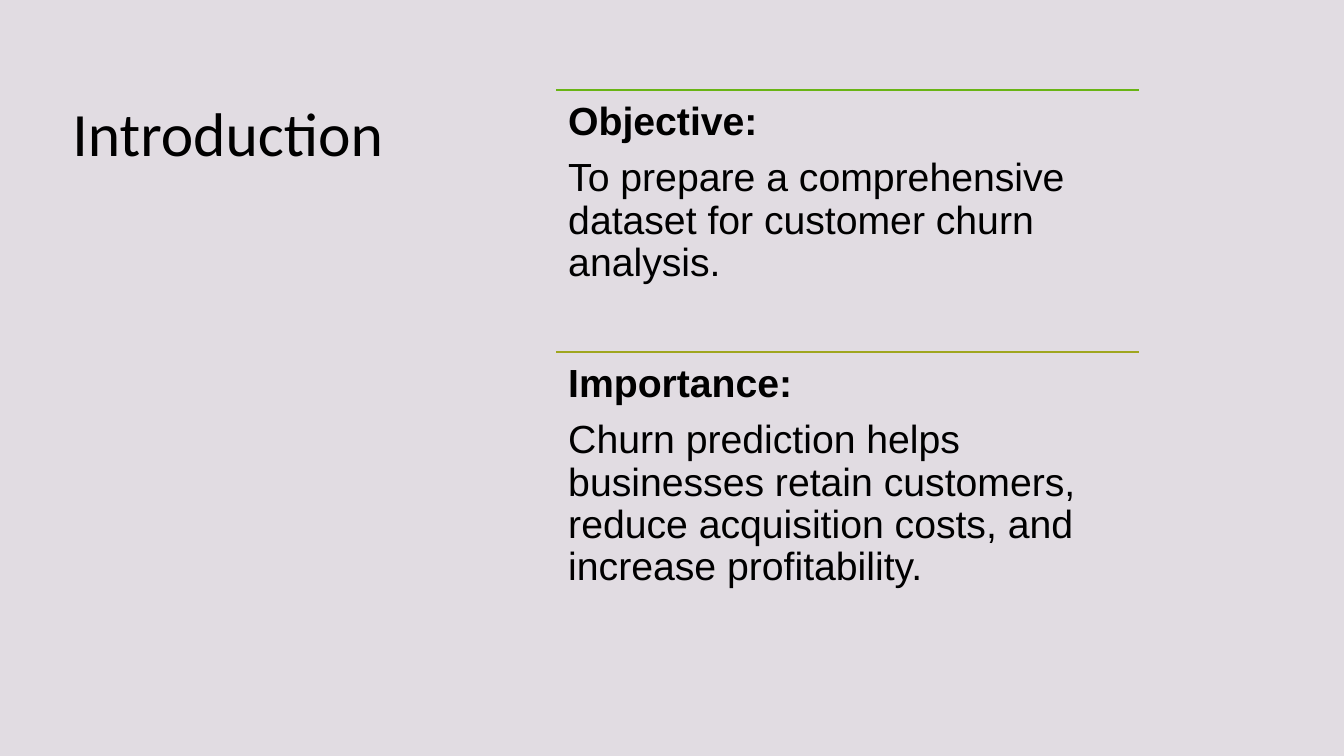
"""Build the Introduction slide with its two ruled statements."""
from dataclasses import dataclass

from lxml.etree import SubElement
from pptx import Presentation
from pptx.dml.color import RGBColor as Color
from pptx.enum.shapes import MSO_CONNECTOR as Connector, MSO_SHAPE as Preset
from pptx.enum.text import MSO_ANCHOR as Anchor, MSO_AUTO_SIZE as AutoSize, PP_ALIGN as Align
from pptx.oxml.ns import qn
from pptx.util import Pt

TITLE = "Introduction"
SECTIONS = [
    ("Objective:", "To prepare a comprehensive dataset for customer churn analysis.", "69B415"),
    ("Importance:", "Churn prediction helps businesses retain customers, reduce acquisition costs, "
                    "and increase profitability.", "9FA61F"),
]


@dataclass(frozen=True)
class Theme:
    background: str = "E7E2E8"
    tint: str = "AEAEAE"
    tint_opacity: int = 10
    ink: str = "000000"
    title_font: str = "Calibri"
    body_font: str = "Arial"
    title_size: int = 44
    body_size: int = 28
    rule_width: int = 1


THEME = Theme()
SLIDE_SIZE = (960, 540)
TOP = 64.25
TITLE_BOX = (44.5, TOP, 292, 426)
SECTION_LEFT, SECTION_WIDTH, SECTION_HEIGHT = 397.5, 416, 187.25
SECTION_INSET = 8.4
LINE_SPACING, SPACE_AFTER = 0.9, 9.8


def add_backdrop(slide, layer, color, opacity):
    """Cover the slide with a plain rectangle at the given layer behind the text."""
    backdrop = slide.shapes.add_shape(Preset.RECTANGLE, 0, 0, *map(Pt, SLIDE_SIZE))
    backdrop.shadow.inherit = False
    backdrop.fill.solid()
    backdrop.fill.fore_color.rgb = Color.from_string(color)
    backdrop.line.fill.background()
    if opacity < 100:
        shade = backdrop._element.spPr.find(qn("a:solidFill"))[0]
        SubElement(shade, qn("a:alpha")).set("val", str(opacity * 1000))
    slide.shapes._spTree.insert(2 + layer, backdrop._element)


def place(shape, left, top, width, height):
    """Position a shape, in points, with its text fixed to the top."""
    shape.left, shape.top, shape.width, shape.height = map(Pt, (left, top, width, height))
    frame = shape.text_frame
    frame.word_wrap = True
    frame.auto_size = AutoSize.NONE
    frame.vertical_anchor = Anchor.TOP
    return frame


def add_run(paragraph, text, font, size, bold=False):
    """Add one formatted run to a left-aligned paragraph."""
    paragraph.alignment = Align.LEFT
    run = paragraph.add_run()
    run.text = text
    run.font.name, run.font.size, run.font.bold = font, Pt(size), bold
    run.font.color.rgb = Color.from_string(THEME.ink)


def add_rule(slide, top, color):
    """Draw the coloured rule above a section."""
    rule = slide.shapes.add_connector(
        Connector.STRAIGHT, Pt(SECTION_LEFT), Pt(top), Pt(SECTION_LEFT + SECTION_WIDTH), Pt(top))
    rule.line.color.rgb = Color.from_string(color)
    rule.line.width = Pt(THEME.rule_width)
    SubElement(rule._element.spPr, qn("a:effectLst"))


def fill_section(placeholder, top, heading, statement):
    """Write a bold heading and its statement without bullets."""
    frame = place(placeholder, SECTION_LEFT, top, SECTION_WIDTH, SECTION_HEIGHT)
    frame.margin_left = frame.margin_right = Pt(SECTION_INSET)
    frame.margin_top = frame.margin_bottom = Pt(SECTION_INSET)
    for paragraph, text, bold in (
        (frame.paragraphs[0], heading, True),
        (frame.add_paragraph(), statement, False),
    ):
        paragraph.line_spacing = LINE_SPACING
        paragraph.space_before, paragraph.space_after = Pt(0), Pt(SPACE_AFTER)
        properties = paragraph._p.get_or_add_pPr()
        properties.set("marL", "0")
        properties.set("indent", "0")
        SubElement(properties, qn("a:buNone"))
        add_run(paragraph, text, THEME.body_font, THEME.body_size, bold)


def main():
    """Create and save the presentation."""
    presentation = Presentation()
    presentation.slide_width, presentation.slide_height = map(Pt, SLIDE_SIZE)
    slide = presentation.slides.add_slide(presentation.slide_layouts.get_by_name("Two Content"))
    background = slide.background.fill
    background.solid()
    background.fore_color.rgb = Color.from_string(THEME.background)
    backdrops = [(THEME.background, 100), (THEME.tint, THEME.tint_opacity)]
    for layer, (color, opacity) in enumerate(backdrops):
        add_backdrop(slide, layer, color, opacity)

    title = place(slide.shapes.title, *TITLE_BOX)
    add_run(title.paragraphs[0], TITLE, THEME.title_font, THEME.title_size)

    bodies = [slide.placeholders[1], slide.placeholders[2]]
    for index, (body, (heading, statement, color)) in enumerate(zip(bodies, SECTIONS)):
        top = TOP + index * SECTION_HEIGHT
        add_rule(slide, top, color)
        fill_section(body, top, heading, statement)
    presentation.save("out.pptx")


if __name__ == "__main__":
    main()
